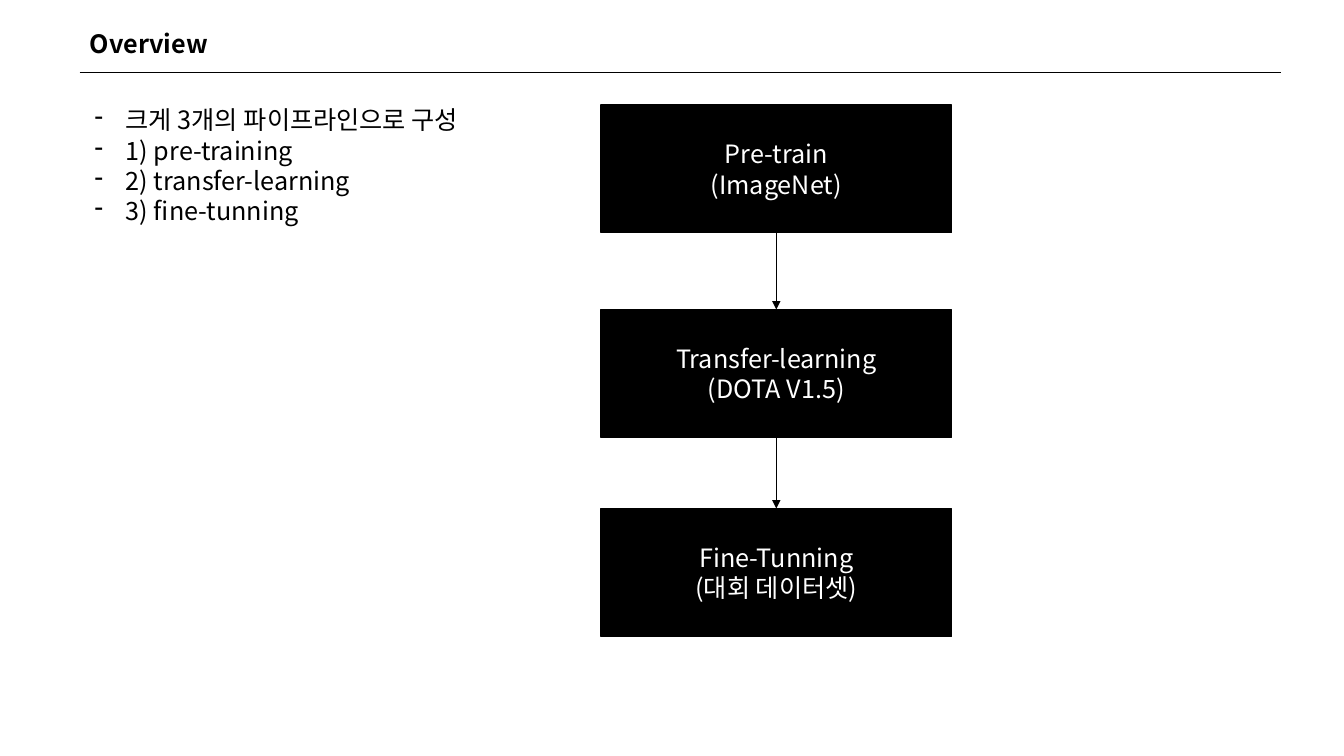
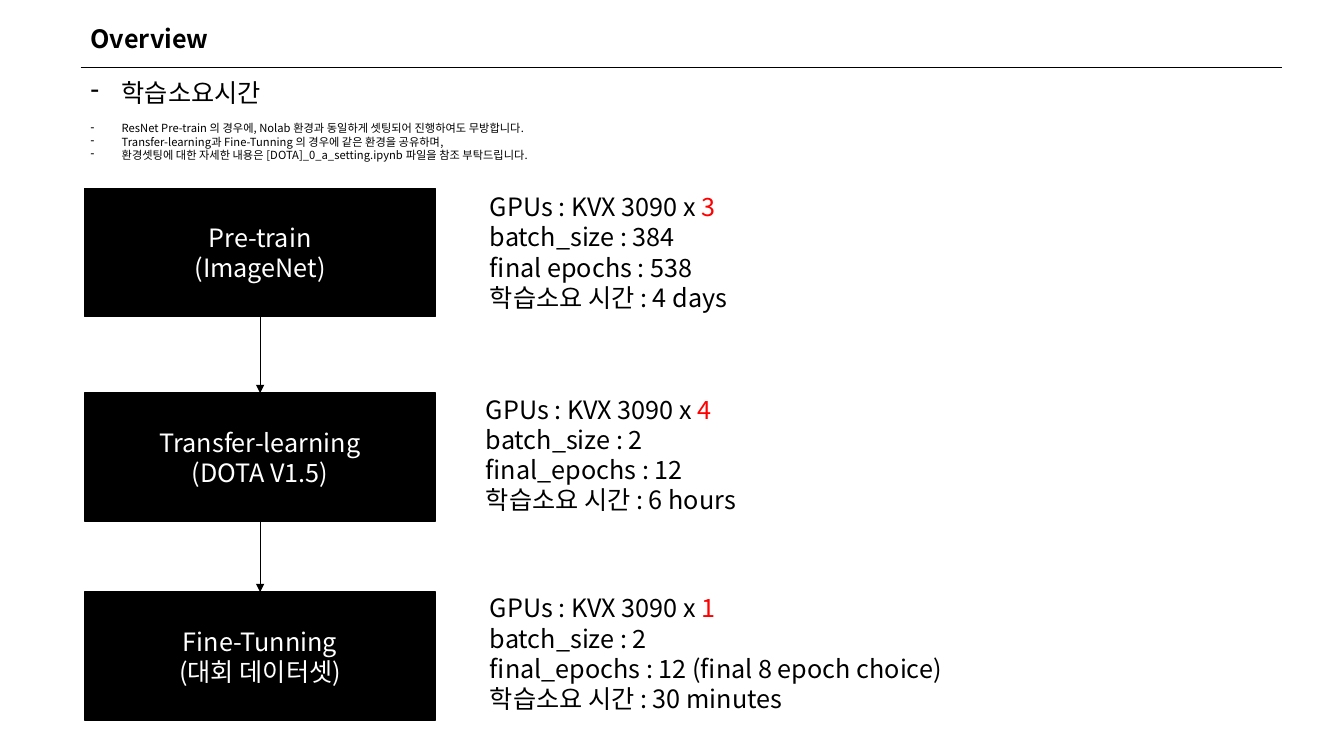
from dataclasses import dataclass
from itertools import pairwise

from lxml import etree
from pptx import Presentation
from pptx import util as u
from pptx.dml import color
from pptx.enum import shapes, text
from pptx.oxml import ns


# Theme
@dataclass(frozen=True)
class Theme:
    ink: color.RGBColor = color.RGBColor(0, 0, 0)
    paper: color.RGBColor = color.RGBColor(255, 255, 255)
    accent: color.RGBColor = color.RGBColor(255, 0, 0)
    face: str = "Noto Sans CJK KR"
    body: float = 18
    note: float = 8
    hairline: float = 0.5
    border: float = 1
    indent: float = 0.31


THEME = Theme()

deck = Presentation()
deck.slide_width, deck.slide_height = u.Inches(13.33), u.Inches(7.5)


# Lengths are percentages of the slide's width and height
def across(share):
    return u.Emu(round(deck.slide_width * share / 100))


def down(share):
    return u.Emu(round(deck.slide_height * share / 100))


@dataclass(frozen=True)
class Area:
    left: float
    top: float
    width: float
    height: float

    def place(self):
        return across(self.left), down(self.top), across(self.width), down(self.height)


@dataclass(frozen=True)
class Line:
    words: str
    accent: str = ""
    size: float = THEME.body
    bold: bool = False
    bullet: bool = False
    before: float = 0


@dataclass(frozen=True)
class Stage:
    name: str
    dataset: str
    drop: float


@dataclass(frozen=True)
class Training:
    left: float
    top: float
    gpus: str
    batch: str
    epochs: str
    time: str

    def lines(self):
        return [Line("GPUs : KVX 3090 x ", self.gpus),
                Line(f"batch_size : {self.batch}"),
                Line(self.epochs),
                Line(f"학습소요 시간 : {self.time}")]


BOX_WIDTH, BOX_HEIGHT = 26.11, 16.93
STAGES = [
    Stage("Pre-train", "(ImageNet)", 0),
    Stage("Transfer-learning", "(DOTA V1.5)", 27.07),
    Stage("Fine-Tunning", "(대회 데이터셋)", 53.4),
]
TRAININGS = [
    Training(35.71, 24.67, "3", "384", "final epochs : 538", "4 days"),
    Training(35.41, 51.47, "4", "2", "final_epochs : 12", "6 hours"),
    Training(35.71, 77.73, "1", "2",
             "final_epochs : 12 (final 8 epoch choice)", "30 minutes"),
]


# Text
def write(frame, lines: list[Line], ink=THEME.ink, align=text.PP_ALIGN.LEFT) -> None:
    frame.word_wrap = True
    for number, line in enumerate(lines):
        paragraph = frame.add_paragraph() if number else frame.paragraphs[0]
        paragraph.alignment = align
        font = paragraph.font
        font.name, font.size, font.bold = THEME.face, u.Pt(line.size), line.bold
        font.color.rgb = ink
        if line.before:
            paragraph.space_before = u.Pt(line.before)
        properties = paragraph._p.get_or_add_pPr()
        defaults = properties.find(ns.qn("a:defRPr"))
        etree.SubElement(defaults, ns.qn("a:ea"), typeface=THEME.face)
        if line.bullet:
            indent = u.Inches(THEME.indent)
            properties.set("marL", str(indent))
            properties.set("indent", str(-indent))
            dash = etree.Element(ns.qn("a:buChar"), char="-")
            defaults.addprevious(dash)
        paragraph.add_run().text = line.words
        if line.accent:
            marked = paragraph.add_run()
            marked.text = line.accent
            marked.font.color.rgb = THEME.accent


def add_text(slide, area: Area, lines: list[Line]) -> None:
    frame = slide.shapes.add_textbox(*area.place()).text_frame
    write(frame, lines)
    frame.auto_size = text.MSO_AUTO_SIZE.SHAPE_TO_FIT_TEXT


# Lines and arrows
def add_line(slide, start=(0, 0), end=(0, 0)):
    line = slide.shapes.add_connector(shapes.MSO_CONNECTOR.STRAIGHT, *start, *end)
    line.line.color.rgb = THEME.ink
    line.line.width = u.Pt(THEME.hairline)
    etree.SubElement(line._element.spPr, ns.qn("a:effectLst"))
    return line


def add_arrow(slide, upper, lower) -> None:
    arrow = add_line(slide)
    arrow.begin_connect(upper, 2)
    arrow.end_connect(lower, 0)
    etree.SubElement(arrow.line._get_or_add_ln(), ns.qn("a:tailEnd"), type="triangle")


# Parts of a slide
def add_page(left: float, top: float):
    slide = deck.slides.add_slide(deck.slide_layouts[6])
    rule = down(top + 6.53)
    add_line(slide, (across(left), rule), (across(left + 89.42), rule))
    add_text(slide, Area(left, top, 19.88, 5.33), [Line("Overview", bold=True)])
    return slide


def add_stage(slide, stage: Stage, left: float, top: float):
    area = Area(left, top + stage.drop, BOX_WIDTH, BOX_HEIGHT)
    box = slide.shapes.add_shape(shapes.MSO_SHAPE.RECTANGLE, *area.place())
    box.shadow.inherit = False
    box.fill.solid()
    box.fill.fore_color.rgb = THEME.ink
    box.line.color.rgb = THEME.ink
    box.line.width = u.Pt(THEME.border)
    box.text_frame.vertical_anchor = text.MSO_ANCHOR.MIDDLE
    write(box.text_frame, [Line(stage.name), Line(stage.dataset)],
          THEME.paper, text.PP_ALIGN.CENTER)
    return box


def add_pipeline(slide, left: float, top: float) -> None:
    boxes = [add_stage(slide, stage, left, top) for stage in STAGES]
    for upper, lower in pairwise(boxes):
        add_arrow(slide, upper, lower)


# Slide 1: the three pipelines
pipelines = add_page(5.93, 3.07)
add_text(pipelines, Area(6.3, 13.2, 32.18, 17.47), [
    Line(words, bullet=True) for words in (
        "크게 3개의 파이프라인으로 구성",
        "1) pre-training",
        "2) transfer-learning",
        "3) fine-tunning",
    )])
add_pipeline(pipelines, 44.71, 13.87)

# Slide 2: training time of each stage
durations = add_page(6, 2.4)
setup_notes = (
    "ResNet Pre-train 의 경우에, Nolab 환경과 동일하게 셋팅되어 진행하여도 무방합니다.",
    "Transfer-learning과 Fine-Tunning 의 경우에 같은 환경을 공유하며,",
    "환경셋팅에 대한 자세한 내용은 [DOTA]_0_a_setting.ipynb 파일을 참조 부탁드립니다.",
)
add_text(durations, Area(6, 9.6, 42.39, 14.4), [
    Line("학습소요시간", bullet=True),
    *(Line(words, size=THEME.note, bullet=True, before=0 if number else 10)
      for number, words in enumerate(setup_notes)),
])
add_pipeline(durations, 6.3, 24.93)
for training in TRAININGS:
    add_text(durations, Area(training.left, training.top, 50, 17.47), training.lines())

deck.save("out.pptx")
